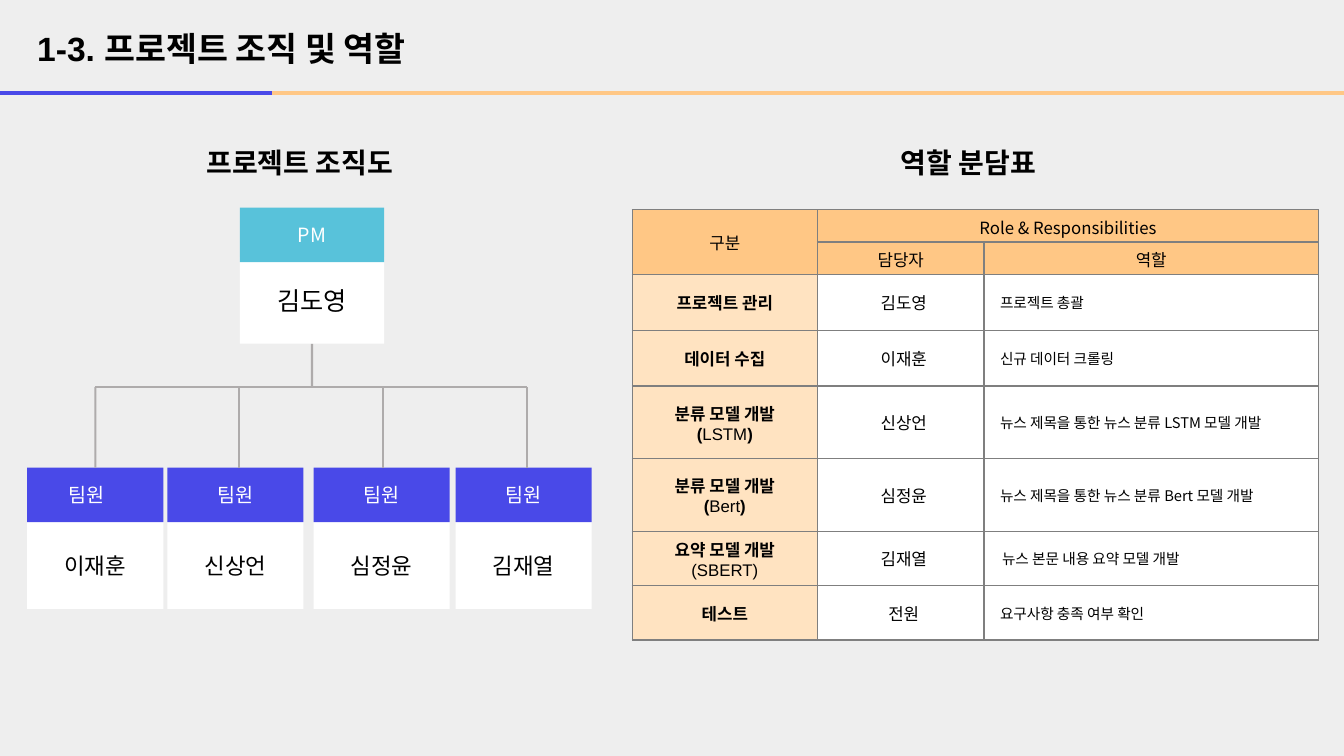
from lxml import etree
from pptx import Presentation
from pptx import util as u
from pptx.dml.color import RGBColor
from pptx.enum import shapes, text
from pptx.oxml import parse_xml
from pptx.oxml.ns import qn

HEX = {
    "page": "EEEEEE", "ink": "000000", "paper": "FFFFFF", "pm": "58C2DA",
    "member": "4949E8", "accent": "FFC785", "task": "FFE3C1",
    "branch": "AEABAB", "border": "7F7F7F",
}
COLOR = {name: RGBColor.from_string(value) for name, value in HEX.items()}
KOREAN, LATIN = "Noto Sans CJK KR", "Arial"
CENTER, LEFT = text.PP_ALIGN.CENTER, text.PP_ALIGN.LEFT
MIDDLE = text.MSO_ANCHOR.MIDDLE

deck = Presentation()
deck.slide_width, deck.slide_height = u.Inches(13.33), u.Inches(7.5)
slide = deck.slides.add_slide(deck.slide_layouts[6])
slide.background.fill.solid()
slide.background.fill.fore_color.rgb = COLOR["page"]
COL, ROW = deck.slide_width / 100, deck.slide_height / 100


def write(frame, words, size, ink="ink", face=KOREAN, bold=False, align=CENTER):
    frame.text = words
    for paragraph in frame.paragraphs:
        paragraph.alignment = align
        for run in paragraph.runs:
            run.font.size, run.font.bold, run.font.name = u.Pt(size), bold, face
            run.font.color.rgb = COLOR[ink]
            etree.SubElement(run.font._element, qn("a:ea")).set("typeface", KOREAN)


def line(x1, y1, x2, y2, color, weight):
    link = slide.shapes.add_connector(
        shapes.MSO_CONNECTOR.STRAIGHT,
        *(round(n) for n in (x1 * COL, y1 * ROW, x2 * COL, y2 * ROW)))
    link.line.color.rgb = COLOR[color]
    link.line.width = u.Pt(weight)
    etree.SubElement(link._element.spPr, qn("a:effectLst"))
    return link


for words, x, y, w, h, size in [
    ("1-3. 프로젝트 조직 및 역할", 2.03, 3.07, 31.88, 6.67, 24),
    ("프로젝트 조직도", 14.62, 18.53, 21.75, 5.33, 20),
    ("역할 분담표", 66.3, 18.6, 12.6, 5.33, 20),
]:
    heading = slide.shapes.add_textbox(
        round(x * COL), round(y * ROW), round(w * COL), round(h * ROW))
    heading.text_frame.word_wrap = True
    write(heading.text_frame, words, size, face=LATIN, bold=True, align=LEFT)

line(0, 12.27, 20.25, 12.27, "member", 3)
line(20.25, 12.27, 100, 12.27, "accent", 3)

BAND, CARD = 7.2, 11.47
name_cards, role_bands = [], []
for role, person, x, y, name_y, w, color, size in [
    ("PM", "김도영", 17.85, 27.47, 34, 10.73, "pm", 18),
    ("팀원", "이재훈", 2.03, 61.87, 69.07, 10.13, "member", 16),
    ("팀원", "신상언", 12.45, 61.87, 69.07, 10.13, "member", 16),
    ("팀원", "심정윤", 23.33, 61.87, 69.07, 10.13, "member", 16),
    ("팀원", "김재열", 33.9, 61.87, 69.07, 10.13, "member", 16),
]:
    for words, top, height, fill, ink, points, group in [
        (person, name_y, CARD, "paper", "ink", size, name_cards),
        (role, y, BAND, color, "paper", 14, role_bands),
    ]:
        tile = slide.shapes.add_shape(
            shapes.MSO_SHAPE.RECTANGLE,
            round(x * COL), round(top * ROW), round(w * COL), round(height * ROW))
        tile.shadow.inherit = False
        tile.fill.solid()
        tile.fill.fore_color.rgb = COLOR[fill]
        tile.line.fill.background()
        tile.text_frame.vertical_anchor = MIDDLE
        write(tile.text_frame, words, points, ink)
        group.append(tile)
role_bands[1].text_frame.margin_right = u.Inches(0.28)

BUS, STEM, FIRST_DROP, DROP_STEP = 51.2, 23.22, 7.1, 10.7
line(STEM, 45.47, STEM, BUS, "branch", 1.5).begin_connect(name_cards[0], 2)
line(FIRST_DROP, BUS, FIRST_DROP + 3 * DROP_STEP, BUS, "branch", 1.5)
for index, band in enumerate(role_bands[1:]):
    x = FIRST_DROP + index * DROP_STEP
    drop = line(x, BUS, x, 61.87, "branch", 1.5)
    if abs(x * COL - band.left - band.width / 2) < COL / 10:
        drop.end_connect(band, 0)

WIDTHS = [13.8, 12.38, 24.9]
HEIGHTS = [4.27, 4.27, 7.47, 7.33, 9.6, 9.6, 7.2, 7.2]
duties = slide.shapes.add_table(
    len(HEIGHTS), len(WIDTHS), round(47.03 * COL), round(27.73 * ROW),
    round(sum(WIDTHS) * COL), round(sum(HEIGHTS) * ROW)).table
for column, width in zip(duties.columns, WIDTHS):
    column.width = round(width * COL)
for row, height in zip(duties.rows, HEIGHTS):
    row.height = round(height * ROW)

duties.cell(0, 0).merge(duties.cell(1, 0))
duties.cell(0, 1).merge(duties.cell(0, 2))
for r, c, words in [(0, 0, "구분"), (0, 1, "Role & Responsibilities"),
                    (1, 1, "담당자"), (1, 2, "역할")]:
    write(duties.cell(r, c).text_frame, words, 12)

for r, (task, model, person, duty) in enumerate([
    ("프로젝트 관리", [], "김도영", "프로젝트 총괄"),
    ("데이터 수집", [], "이재훈", "신규 데이터 크롤링"),
    ("분류 모델 개발", ["(", "LSTM", ")"], "신상언", "뉴스 제목을 통한 뉴스 분류 LSTM 모델 개발"),
    ("분류 모델 개발", ["(", "Bert", ")"], "심정윤", "뉴스 제목을 통한 뉴스 분류 Bert 모델 개발"),
    ("요약 모델 개발", ["(SBERT)"], "김재열", "뉴스 본문 내용 요약 모델 개발"),
    ("테스트", [], "전원", "요구사항 충족 여부 확인"),
], start=2):
    task_frame = duties.cell(r, 0).text_frame
    write(task_frame, task, 12, face=LATIN, bold=True)
    if model:
        model_line = task_frame.add_paragraph()
        model_line.alignment = CENTER
        for part in model:
            run = model_line.add_run()
            run.text = part
            run.font.size, run.font.name = u.Pt(12), LATIN
            run.font.bold = part in "()"
            run.font.color.rgb = COLOR["ink"]
    write(duties.cell(r, 1).text_frame, person, 12)
    write(duties.cell(r, 2).text_frame, duty, 10.5, align=LEFT)
    for c in (1, 2):
        indent = duties.cell(r, c).text_frame.paragraphs[0]._p.get_or_add_pPr()
        indent.set("marL", str(u.Inches(0.1)))
        indent.set("indent", str(-u.Inches(0.04)))
duties.cell(6, 2).text_frame.paragraphs[0]._p.pPr.set("indent", str(-u.Inches(0.02)))

BORDER = ('<a:{} xmlns:a="http://schemas.openxmlformats.org/drawingml/2006/main" w="12700">'
          '<a:solidFill><a:srgbClr val="{}"/></a:solidFill></a:{}>')
for r in range(len(HEIGHTS)):
    for c in range(len(WIDTHS)):
        cell = duties.cell(r, c)
        cell.vertical_anchor = MIDDLE
        side, rim = (0.1, 0.05) if r < 2 else (0.05, 0.05) if c == 0 else (0.1, 0.04)
        cell.margin_left = cell.margin_right = u.Inches(side)
        cell.margin_top = cell.margin_bottom = u.Inches(rim)
        properties = cell._tc.get_or_add_tcPr()
        for edge in ("lnL", "lnR", "lnT", "lnB"):
            properties.append(parse_xml(BORDER.format(edge, HEX["border"], edge)))
        cell.fill.solid()
        cell.fill.fore_color.rgb = COLOR["accent" if r < 2 else "task" if c == 0 else "paper"]

deck.save("out.pptx")
